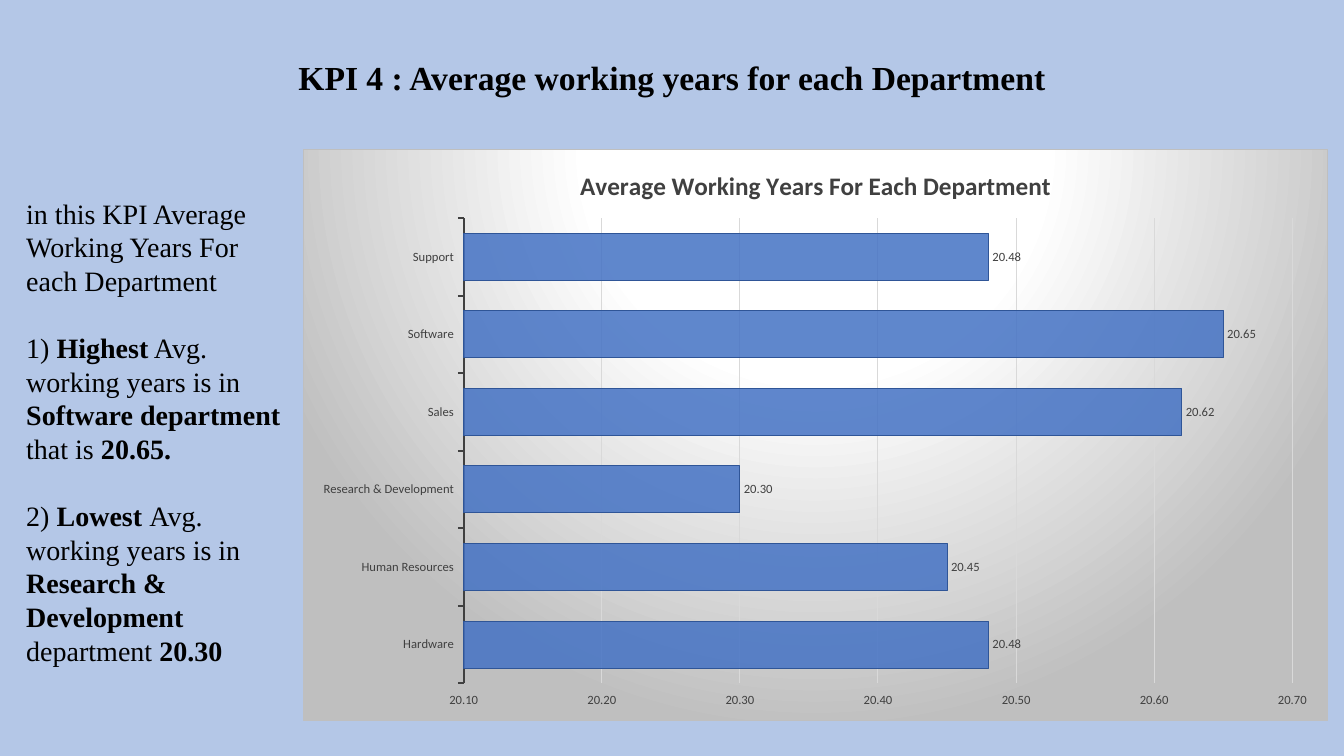
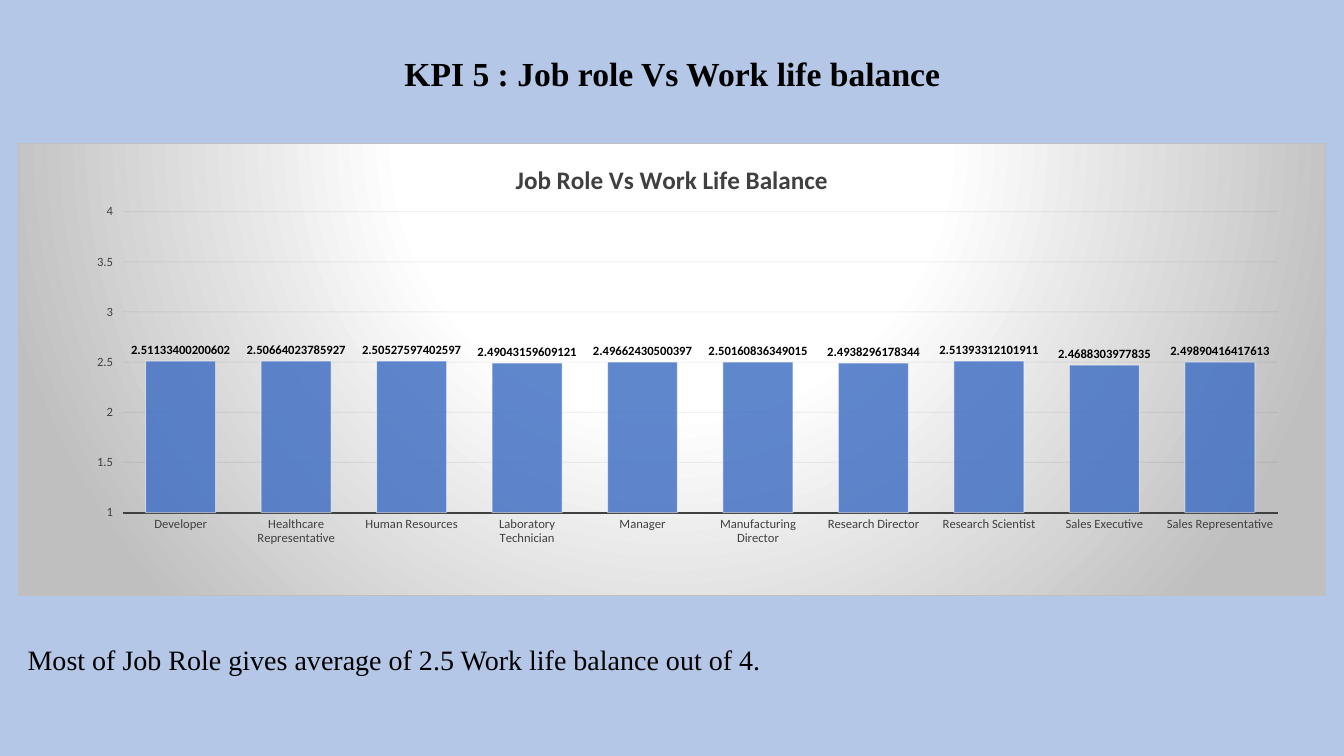
from dataclasses import dataclass

from lxml.etree import SubElement
from pptx import Presentation
from pptx.chart.data import CategoryChartData
from pptx.dml.color import RGBColor
from pptx.enum.chart import XL_CHART_TYPE, XL_LABEL_POSITION, XL_TICK_MARK
from pptx.enum.text import MSO_ANCHOR, MSO_AUTO_SIZE, PP_ALIGN
from pptx.oxml import parse_xml
from pptx.oxml.ns import nsdecls, qn
from pptx.util import Pt


@dataclass(frozen=True)
class Theme:
    background: str = "B4C7E7"
    text: str = "000000"
    chart_text: str = "404040"
    bar: str = "4472C4"
    bar_opacity: int = 85
    panel_inner: str = "FFFFFF"
    panel_outer: str = "BFBFBF"
    font: str = "Times New Roman"
    chart_font: str = "Calibri"
    title_size: int = 24
    body_size: int = 20
    body_pitch: int = 24
    chart_title_size: int = 18
    chart_size: int = 9
    thin: float = 0.75
    thick: float = 1.5


THEME = Theme()

# Boxes are left, top, width, height in points; title_at and plot_at count from
# the chart's corner. Text between ** marks is bold. Chart data are label texts.
SLIDES = [
    {
        "title": "KPI 4 : Average working years for each Department",
        "title_box": (6, 7, 948, 99),
        "body": [
            "in this KPI Average Working Years For each Department",
            "1) **Highest** Avg. working years is in **Software department **that is **20.65.**",
            "2) **Lowest **Avg. working years is in **Research & Development** department **20.30**",
        ],
        "body_box": (11.5, 136.5, 200, 368),
        "chart": {
            "kind": XL_CHART_TYPE.BAR_CLUSTERED,
            "box": (216.5, 106.5, 732, 408.5),
            "title": "Average Working Years For Each Department",
            "title_at": (194.5, 10),
            "plot_at": (114.5, 49, 592.5, 333),
            "data": {
                "Hardware": "20.48",
                "Human Resources": "20.45",
                "Research & Development": "20.30",
                "Sales": "20.62",
                "Software": "20.65",
                "Support": "20.48",
            },
            "decimals": 2,
            "scale": (20.1, 20.7, 0.1),
            "format": "0.00",
            "category_tick": XL_TICK_MARK.OUTSIDE,
            "grid": ("D9D9D9", 100),
            "bar_line": ("2F5597", 100),
            "label": (THEME.chart_text, False),
        },
    },
    {
        "title": "KPI 5 : Job role Vs Work life balance",
        "title_box": (13, 6, 934.5, 96),
        "body": ["Most of Job Role gives average of 2.5 Work life balance out of 4."],
        "body_box": (12.5, 455, 934.5, 51),
        "chart": {
            "kind": XL_CHART_TYPE.COLUMN_CLUSTERED,
            "box": (13, 102, 934.5, 324),
            "title": "Job Role Vs Work Life Balance",
            "title_at": (352, 10.5),
            "plot_at": (74.5, 49, 825.5, 215.5),
            "data": {
                "Developer": "2.51133400200602",
                "Healthcare Representative": "2.50664023785927",
                "Human Resources": "2.50527597402597",
                "Laboratory Technician": "2.49043159609121",
                "Manager": "2.49662430500397",
                "Manufacturing Director": "2.50160836349015",
                "Research Director": "2.4938296178344",
                "Research Scientist": "2.51393312101911",
                "Sales Executive": "2.4688303977835",
                "Sales Representative": "2.49890416417613",
            },
            "decimals": 2,
            "scale": (1, 4, 0.5),
            "format": "General",
            "category_tick": XL_TICK_MARK.NONE,
            "grid": ("0D0D0D", 6),
            "bar_line": ("FFFFFF", 50),
            "label": (THEME.text, True),
        },
    },
]


def rgb(color):
    return RGBColor.from_string(color)


def points(box):
    return [Pt(v) for v in box]


def style_font(font, color, **values):
    for name, value in values.items():
        setattr(font, name, value)
    font.color.rgb = rgb(color)


def style_line(line, color, width):
    line.color.rgb = rgb(color)
    line.width = Pt(width)


def set_opacity(element, query, percent):
    for color in element.xpath(query):
        SubElement(color, qn("a:alpha"), val=str(percent * 1000))


def place(sp, box):
    sp.left, sp.top, sp.width, sp.height = points(box)


def add_title(s, text, box):
    sp = s.shapes.title
    place(sp, box)
    tf = sp.text_frame
    tf.vertical_anchor = MSO_ANCHOR.MIDDLE
    tf.auto_size = MSO_AUTO_SIZE.NONE
    p = tf.paragraphs[0]
    p.alignment, p.line_spacing = PP_ALIGN.CENTER, 0.9
    r = p.add_run()
    r.text = text
    style_font(r.font, THEME.text, name=THEME.font, size=Pt(THEME.title_size), bold=True)


def add_body(s, paragraphs, box):
    sp = s.placeholders[1]
    place(sp, box)
    tf = sp.text_frame
    tf.auto_size = MSO_AUTO_SIZE.NONE
    for i, text in enumerate(paragraphs):
        p = tf.add_paragraph() if i else tf.paragraphs[0]
        p.line_spacing = Pt(THEME.body_pitch)
        p.space_before = Pt(THEME.body_pitch if i else 0)
        props = p._p.get_or_add_pPr()
        props.set("marL", "0")
        props.set("indent", "0")
        SubElement(props, qn("a:buNone"))
        for j, part in enumerate(text.split("**")):
            if part:
                r = p.add_run()
                r.text = part
                style_font(r.font, THEME.text, name=THEME.font,
                           size=Pt(THEME.body_size), bold=j % 2 == 1)


def set_layout(parent, index, position, chart_size, inner=False):
    """Place a chart part, given in points from the chart's corner: x, y and, if given, w, h."""
    for old in parent.findall(qn("c:layout")):
        parent.remove(old)
    layout = parse_xml(f"<c:layout {nsdecls('c')}><c:manualLayout/></c:layout>")
    manual = layout[0]
    if inner:
        SubElement(manual, qn("c:layoutTarget"), val="inner")
    for name in ("xMode", "yMode"):
        SubElement(manual, qn(f"c:{name}"), val="edge")
    for name, value, full in zip("xywh", position, chart_size * 2):
        SubElement(manual, qn(f"c:{name}"), val=f"{value / full:.4f}")
    parent.insert(index, layout)


def fill_panel(chart):
    """Give the chart area its radial gradient and border."""
    stops = ((0, THEME.panel_inner), (39, THEME.panel_inner), (100, THEME.panel_outer))
    gradient = "".join(f'<a:gs pos="{pos * 1000}"><a:srgbClr val="{color}"/></a:gs>'
                       for pos, color in stops)
    panel = parse_xml(
        f'<c:spPr {nsdecls("c", "a")}><a:gradFill><a:gsLst>{gradient}</a:gsLst>'
        '<a:path path="circle"><a:fillToRect l="50000" t="-80000" r="50000" b="180000"/>'
        f'</a:path></a:gradFill><a:ln w="{Pt(THEME.thin)}"><a:solidFill>'
        f'<a:srgbClr val="{THEME.panel_outer}"/></a:solidFill></a:ln></c:spPr>')
    chart.element.find(qn("c:chart")).addnext(panel)


def style_axes(chart, look):
    category, value = chart.category_axis, chart.value_axis
    for axis in (category, value):
        style_font(axis.tick_labels.font, THEME.chart_text,
                   name=THEME.chart_font, size=Pt(THEME.chart_size))
        axis.minor_tick_mark = XL_TICK_MARK.NONE
    category.major_tick_mark = look["category_tick"]
    category.has_major_gridlines = False
    style_line(category.format.line, THEME.chart_text, THEME.thick)
    value.major_tick_mark = XL_TICK_MARK.OUTSIDE
    value.minimum_scale, value.maximum_scale, value.major_unit = look["scale"]
    value.tick_labels.number_format = look["format"]
    value.tick_labels.number_format_is_linked = False
    value.format.line.fill.background()
    color, opacity = look["grid"]
    style_line(value.major_gridlines.format.line, color, THEME.thin)
    set_opacity(chart.element, ".//c:majorGridlines//a:srgbClr", opacity)


def style_bars(chart, look):
    plot = chart.plots[0]
    plot.gap_width, plot.vary_by_categories = 65, False
    bars = plot.series[0]
    bars.format.fill.solid()
    bars.format.fill.fore_color.rgb = rgb(THEME.bar)
    color, opacity = look["bar_line"]
    style_line(bars.format.line, color, THEME.thin)
    set_opacity(chart.element, ".//c:ser/c:spPr/a:solidFill/a:srgbClr", THEME.bar_opacity)
    set_opacity(chart.element, ".//c:ser/c:spPr/a:ln/a:solidFill/a:srgbClr", opacity)
    color, bold = look["label"]
    for i, text in enumerate(look["data"].values()):
        label = bars.points[i].data_label
        label.position = XL_LABEL_POSITION.OUTSIDE_END
        r = label.text_frame.paragraphs[0].add_run()
        r.text = text
        style_font(r.font, color, name=THEME.chart_font, size=Pt(THEME.chart_size), bold=bold)


def add_bar_chart(s, look):
    data = CategoryChartData()
    data.categories = list(look["data"])
    data.add_series("Series 1", [round(float(v), look["decimals"])
                                 for v in look["data"].values()])
    chart = s.shapes.add_chart(look["kind"], *points(look["box"]), data).chart
    style_font(chart.font, THEME.text, name=THEME.chart_font, size=Pt(10))
    chart.has_legend = False
    chart.has_title = True
    r = chart.chart_title.text_frame.paragraphs[0].add_run()
    r.text = look["title"]
    style_font(r.font, THEME.chart_text, name=THEME.chart_font,
               size=Pt(THEME.chart_title_size), bold=True)
    style_axes(chart, look)
    style_bars(chart, look)
    fill_panel(chart)
    area, size = chart.element.find(qn("c:chart")), look["box"][2:]
    set_layout(area.find(qn("c:title")), 1, look["title_at"], size)
    set_layout(area.find(qn("c:plotArea")), 0, look["plot_at"], size, inner=True)


def main():
    prs = Presentation()
    prs.slide_width, prs.slide_height = Pt(960), Pt(540)
    fill = prs.slide_master.background.fill
    fill.solid()
    fill.fore_color.rgb = rgb(THEME.background)
    for content in SLIDES:
        s = prs.slides.add_slide(prs.slide_layouts[1])
        add_title(s, content["title"], content["title_box"])
        add_bar_chart(s, content["chart"])
        add_body(s, content["body"], content["body_box"])
    prs.save("out.pptx")


if __name__ == "__main__":
    main()
